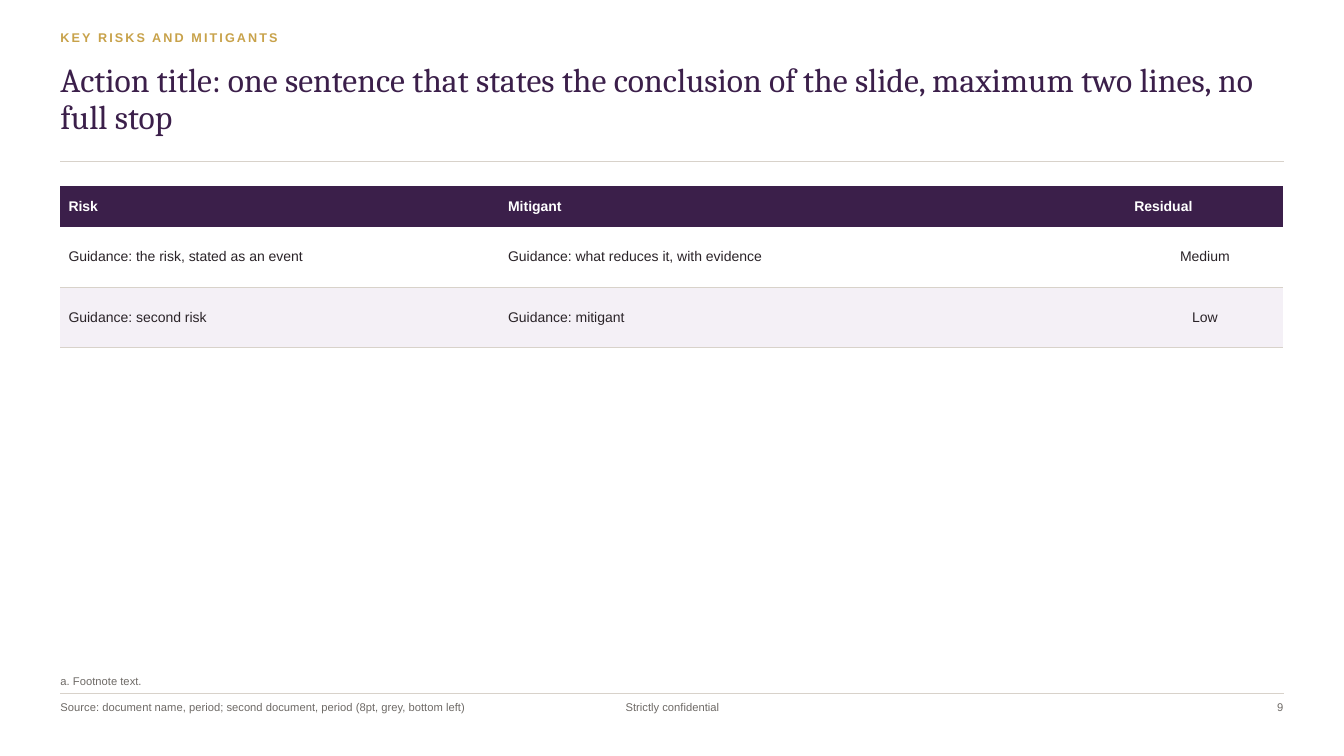
from lxml import etree
from pptx import Presentation
from pptx.dml.color import RGBColor
from pptx.enum.shapes import MSO_CONNECTOR as CONN
from pptx.enum.text import MSO_ANCHOR as ANCHOR, PP_ALIGN as ALIGN
from pptx.oxml import parse_xml
from pptx.oxml.ns import nsdecls, qn
from pptx.util import Pt

PX = 9144
LEFT, WIDTH = 60, 1213
COLORS = {
    "plum": "3B1F4A",
    "gold": "C8A24A",
    "rule": "D8D2CA",
    "band": "F4F0F6",
    "ink": "2A2328",
    "grey": "6E6A66",
    "white": "FFFFFF",
}
NO_STYLE = "{2D5ABB26-0587-4C30-8999-92F81FD0307C}"
COLUMNS = (436, 621, 156)
ROWS = (40, 60, 60)
RISKS = (
    ("Risk", "Mitigant", "Residual"),
    ("Guidance: the risk, stated as an event",
     "Guidance: what reduces it, with evidence", "Medium"),
    ("Guidance: second risk", "Guidance: mitigant", "Low"),
)


def px(*lengths):
    return [n * PX for n in lengths]


def rgb(name):
    return RGBColor.from_string(COLORS[name])


def add_run(p, text, size, color, font="Arial", bold=False):
    r = p.add_run()
    r.text = text
    r.font.size = Pt(size)
    r.font.name = font
    r.font.bold = bold
    r.font.color.rgb = rgb(color)
    return r


def add_text(s, box, text, size=8, color="grey", font="Arial", bold=False,
             align=ALIGN.LEFT, anchor=ANCHOR.TOP, line_spacing=None, tracking=0):
    tf = s.shapes.add_textbox(*px(*box)).text_frame
    tf.word_wrap = True
    tf.vertical_anchor = anchor
    tf.margin_left = tf.margin_right = tf.margin_top = tf.margin_bottom = 0
    p = tf.paragraphs[0]
    p.alignment = align
    p.line_spacing = line_spacing
    r = add_run(p, text, size, color, font, bold)
    if tracking:
        r.font._element.set("spc", str(tracking))


def add_rule(s, y, weight):
    line = s.shapes.add_connector(CONN.STRAIGHT, *px(LEFT, y, LEFT + WIDTH, y))
    line.line.color.rgb = rgb("rule")
    line.line.width = Pt(weight)
    etree.SubElement(line._element.spPr, qn("a:effectLst"))


def add_bottom_border(cell):
    border = parse_xml(
        f'<a:lnB {nsdecls("a")} w="{Pt(0.5)}"><a:solidFill>'
        f'<a:srgbClr val="{COLORS["rule"]}"/></a:solidFill></a:lnB>')
    cell._tc.get_or_add_tcPr().insert(0, border)


def fill_cell(cell, text, row, col):
    header = row == 0
    cell.vertical_anchor = ANCHOR.MIDDLE
    cell.margin_left, cell.margin_right = px(8, 8)
    cell.margin_top, cell.margin_bottom = px(4, 4)
    if row == 1:
        cell.fill.background()
    else:
        cell.fill.solid()
        cell.fill.fore_color.rgb = rgb("plum" if header else "band")
    p = cell.text_frame.paragraphs[0]
    p.alignment = ALIGN.CENTER if col == 2 and not header else ALIGN.LEFT
    add_run(p, text, 10, "white" if header else "ink", bold=header)
    if not header:
        add_bottom_border(cell)


def add_risk_table(s):
    table = s.shapes.add_table(len(ROWS), len(COLUMNS),
                               *px(LEFT, 185, WIDTH, sum(ROWS))).table
    table.horz_banding = False
    table._tbl.tblPr.find(qn("a:tableStyleId")).text = NO_STYLE
    for column, width in zip(table.columns, px(*COLUMNS)):
        column.width = width
    for row, height in zip(table.rows, px(*ROWS)):
        row.height = height
    for i, texts in enumerate(RISKS):
        for j, text in enumerate(texts):
            fill_cell(table.cell(i, j), text, i, j)


def main():
    prs = Presentation()
    prs.slide_width, prs.slide_height = px(1333, 750)
    s = prs.slides.add_slide(prs.slide_layouts[6])
    add_rule(s, 688, 0.5)
    add_text(s, (LEFT, 30, 700, 25), "KEY RISKS AND MITIGANTS", 9, "gold",
             bold=True, tracking=150)
    add_rule(s, 160, 0.75)
    add_text(s, (LEFT, 62, WIDTH, 90),
             "Action title: one sentence that states the conclusion of the slide, "
             "maximum two lines, no full stop",
             24, "plum", "Cambria", line_spacing=0.92)
    add_risk_table(s)
    add_text(s, (LEFT, 642, WIDTH, 40), "a. Footnote text.", anchor=ANCHOR.BOTTOM)
    add_text(s, (LEFT, 695, 500, 40),
             "Source: document name, period; second document, period "
             "(8pt, grey, bottom left)")
    add_text(s, (567, 695, 200, 25), "Strictly confidential", align=ALIGN.CENTER)
    add_text(s, (1173, 695, 100, 25), "9", align=ALIGN.RIGHT)
    prs.save("out.pptx")


if __name__ == "__main__":
    main()
